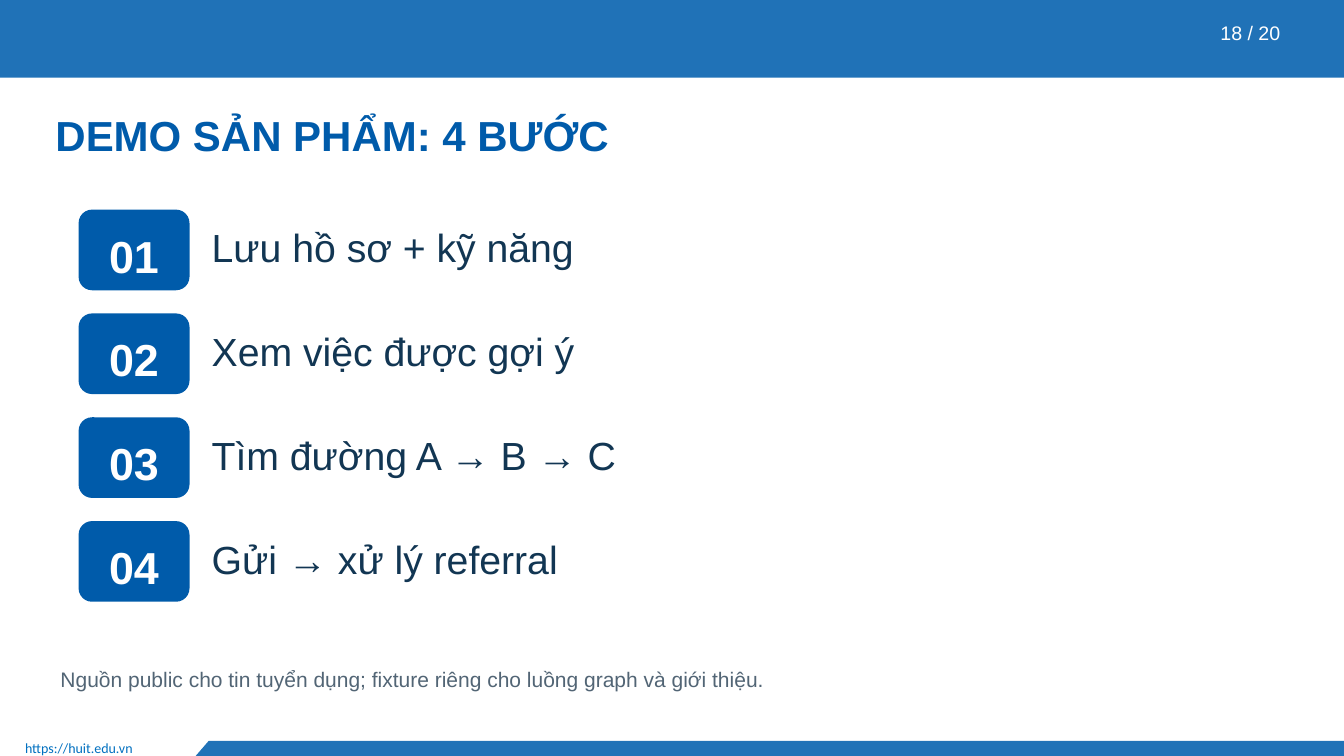
from pptx import Presentation
from pptx import util as u
from pptx.dml.color import RGBColor
from pptx.enum import shapes, text

PX = 9144
BLUE, BAND, NAVY, WHITE = "005BAA", "2072B7", "123653", "FFFFFF"
LEFT, CENTER, RIGHT = text.PP_ALIGN.LEFT, text.PP_ALIGN.CENTER, text.PP_ALIGN.RIGHT


def paint(shape, color):
    shape.shadow.inherit = False
    shape.fill.solid()
    shape.fill.fore_color.rgb = RGBColor.from_string(color)
    shape.line.fill.background()


def write(shape, words, size, color, bold=False, align=LEFT, font="Arial",
          margins=(0, 0, 0, 4), spacing=1.12, after=6, anchor=text.MSO_ANCHOR.TOP):
    frame = shape.text_frame
    frame.word_wrap = True
    frame.auto_size = text.MSO_AUTO_SIZE.NONE
    frame.vertical_anchor = anchor
    frame.margin_left, frame.margin_top, frame.margin_right, frame.margin_bottom = [
        m * PX for m in margins]
    paragraph = frame.paragraphs[0]
    paragraph.text = words
    paragraph.alignment = align
    paragraph.line_spacing = spacing
    paragraph.space_after = u.Pt(after)
    paragraph.font.name = font
    paragraph.font.size = u.Pt(size)
    paragraph.font.bold = bold
    paragraph.font.color.rgb = RGBColor.from_string(color)


presentation = Presentation()
presentation.slide_width = 1333 * PX
presentation.slide_height = 750 * PX
slide = presentation.slides.add_slide(presentation.slide_layouts[5])

header = slide.shapes.add_shape(
    shapes.MSO_SHAPE.RECTANGLE, 0, -1 * PX, 1333 * PX, 78 * PX)
paint(header, BAND)

builder = slide.shapes.build_freeform(207, 735, scale=PX)
builder.add_line_segments([(1333, 735), (1333, 750), (194, 750)], close=True)
footer = builder.convert_to_shape()
paint(footer, BAND)

website = slide.shapes.add_textbox(15 * PX, 729 * PX, 178 * PX, 28 * PX)
write(website, "https://huit.edu.vn", 10, "0070C0", font="Calibri",
      margins=(10, 5, 10, 5), spacing=1.0, after=0)

title = slide.shapes.title
title.left, title.top, title.width, title.height = 55 * PX, 103 * PX, 1205 * PX, 72 * PX
write(title, "DEMO SẢN PHẨM: 4 BƯỚC", 30, BLUE, bold=True)

page = slide.shapes.add_textbox(1165 * PX, 18 * PX, 105 * PX, 32 * PX)
write(page, "18 / 20", 14, WHITE, align=RIGHT)

steps = ["Lưu hồ sơ + kỹ năng", "Xem việc được gợi ý",
         "Tìm đường A → B → C", "Gửi → xử lý referral"]
for index, step in enumerate(steps):
    top = 208 + 103 * index
    badge = slide.shapes.add_shape(
        shapes.MSO_SHAPE.ROUNDED_RECTANGLE, 78 * PX, top * PX, 110 * PX, 80 * PX)
    paint(badge, BLUE)
    write(badge, f"{index + 1:02d}", 32, WHITE, bold=True, align=CENTER,
          margins=(12, 8, 12, 4), anchor=text.MSO_ANCHOR.MIDDLE)
    label = slide.shapes.add_textbox(210 * PX, (top + 8) * PX, 1000 * PX, 72 * PX)
    write(label, step, 28, NAVY)

source = slide.shapes.add_textbox(60 * PX, 658 * PX, 1200 * PX, 38 * PX)
write(source, "Nguồn public cho tin tuyển dụng; fixture riêng cho luồng graph và giới thiệu.",
      15, "526575")

presentation.save("out.pptx")
